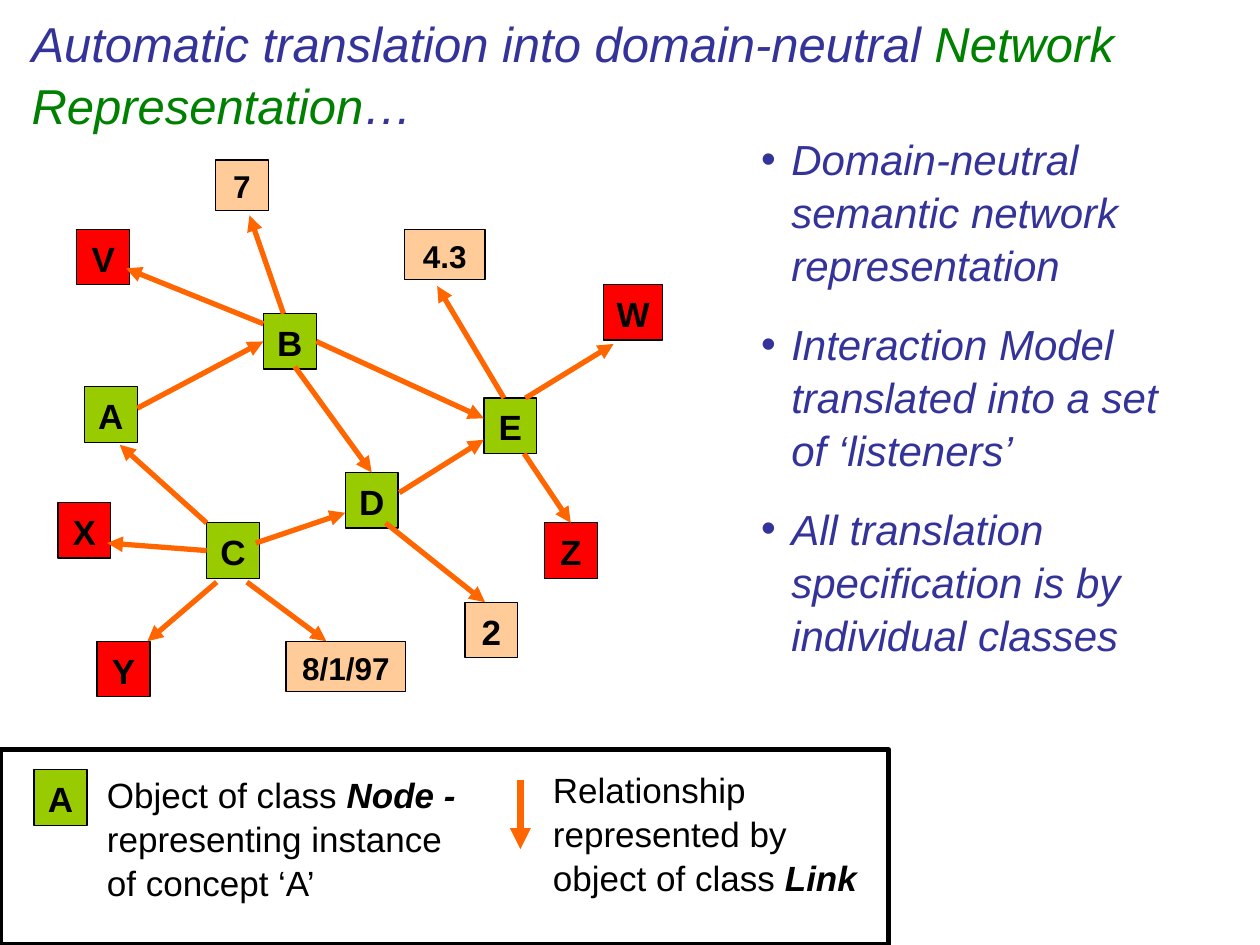
from lxml import etree
from pptx import Presentation
from pptx import util as u
from pptx.dml.color import RGBColor
from pptx.enum import shapes, text
from pptx.oxml.ns import qn

PX = 9144
COLORS = {"ink": "000000", "heading": "333399", "accent": "008000", "node": "99CC00",
          "outside": "FF0000", "value": "FFCC99", "link": "FF6600"}


def write(paragraph, content, color, size, **styles):
    run = paragraph.add_run()
    run.text = content
    for key, value in {"name": "Arial", "size": u.Pt(size), **styles}.items():
        setattr(run.font, key, value)
    run.font.color.rgb = RGBColor.from_string(COLORS[color])
    paragraph.line_spacing = 1.05


def add_arrow(start, end, width):
    arrow = slide.shapes.add_connector(
        shapes.MSO_CONNECTOR.STRAIGHT, *[n * PX for n in start + end])
    arrow.line.width = u.Pt(width)
    arrow.line.color.rgb = RGBColor.from_string(COLORS["link"])
    etree.SubElement(arrow.line._get_or_add_ln(), qn("a:tailEnd"), type="triangle")
    etree.SubElement(arrow._element.spPr, qn("a:effectLst"))
    return arrow


prs = Presentation()
prs.slide_width, prs.slide_height = 1000 * PX, 750 * PX
slide = prs.slides.add_slide(prs.slide_layouts[1])

title, points = slide.placeholders
for holder, bounds, inset, anchor in [
    (title, (20, 0, 961, 115), 5, text.MSO_ANCHOR.MIDDLE),
    (points, (594, 99, 370, 412), 10, text.MSO_ANCHOR.TOP),
]:
    holder.left, holder.top, holder.width, holder.height = [n * PX for n in bounds]
    frame_format = {"margin_left": inset * PX, "margin_right": inset * PX,
                    "margin_top": 5 * PX, "margin_bottom": 5 * PX, "word_wrap": True,
                    "vertical_anchor": anchor, "auto_size": text.MSO_AUTO_SIZE.NONE}
    for key, value in frame_format.items():
        setattr(holder.text_frame, key, value)

heading = title.text_frame.paragraphs[0]
heading.alignment = text.PP_ALIGN.LEFT
for content, color in [("Automatic translation into domain-neutral ", "heading"),
                       ("Network Representation", "accent"), ("…", "heading")]:
    write(heading, content, color, 28, italic=True)

statements = ["Domain-neutral semantic network representation",
              "Interaction Model translated into a set of ‘listeners’",
              "All translation specification is by individual classes"]
for i, statement in enumerate(statements):
    point = points.text_frame.add_paragraph() if i else points.text_frame.paragraphs[0]
    point.space_before = u.Pt(15)
    indent = point._p.get_or_add_pPr()
    indent.set("marL", str(24 * PX))
    indent.set("indent", str(-24 * PX))
    write(point, statement, "heading", 24, italic=True)

boxes = [
    ("A", "node", 67, 307, 42, 44, 20),
    ("B", "node", 209, 249, 42, 44, 20),
    ("E", "node", 384, 316, 42, 44, 20),
    ("C", "node", 164, 415, 42, 44, 20),
    ("D", "node", 274, 375, 42, 44, 20),
    ("V", "outside", 61, 182, 42, 44, 20),
    ("Z", "outside", 432, 415, 42, 44, 20),
    ("X", "outside", 46, 399, 42, 44, 20),
    ("Y", "outside", 77, 509, 42, 44, 20),
    ("W", "outside", 479, 226, 47, 44, 20),
    ("7", "value", 171, 127, 42, 40, 18),
    ("4.3", "value", 321, 182, 64, 40, 18),
    ("2", "value", 369, 478, 42, 44, 20),
    ("8/1/97", "value", 227, 509, 95, 40, 18),
    ("A", "node", 27, 611, 42, 44, 20),
    ("", None, 0, 595, 705, 155, 20),
]
network = {}
for label, kind, left, top, width, height, size in boxes:
    box = slide.shapes.add_shape(shapes.MSO_SHAPE.RECTANGLE,
                                 left * PX, top * PX, width * PX, height * PX)
    box.shadow.inherit = False
    box.line.color.rgb = RGBColor.from_string(COLORS["ink"])
    box.line.width = u.Pt(0.75 if kind else 3)
    if not kind:
        box.fill.background()
        continue
    box.fill.solid()
    box.fill.fore_color.rgb = RGBColor.from_string(COLORS[kind])
    box.text_frame.word_wrap = False
    box.text_frame.paragraphs[0].alignment = text.PP_ALIGN.CENTER
    write(box.text_frame.paragraphs[0], label, "ink", size, bold=True)
    network.setdefault(label, box)

links = [
    ((164, 415), (95, 353), None, None),
    ((109, 324), (209, 274), None, ("B", 1)),
    ((317, 391), (384, 349), None, None),
    ((250, 274), (384, 332), ("B", 3), None),
    ((196, 462), (259, 509), None, None),
    ((234, 291), (292, 374), None, ("D", 0)),
    ((225, 249), (198, 171), None, None),
    ((400, 316), (347, 227), None, None),
    ((416, 360), (450, 416), None, ("Z", 0)),
    ((306, 415), (385, 478), None, None),
    ((209, 257), (100, 213), None, None),
    ((417, 316), (487, 273), None, None),
    ((164, 438), (85, 431), ("C", 1), None),
    ((172, 462), (117, 509), None, None),
    ((203, 431), (274, 407), None, None),
]
for start, end, source, target in links:
    link = add_arrow(start, end, 3)
    if source:
        link.begin_connect(network[source[0]], source[1])
    if target:
        link.end_connect(network[target[0]], target[1])

add_arrow((413, 619), (413, 674), 4)

legend = [
    ((75, 607, 299, 110), [("Object of class ", False), ("Node - ", True),
                           ("representing instance of concept ‘A’", False)]),
    ((429, 603, 268, 110), [("Relationship represented by object of class", False),
                            (" Link", True)]),
]
for bounds, parts in legend:
    meaning = slide.shapes.add_textbox(*[n * PX for n in bounds]).text_frame
    meaning.word_wrap = True
    for content, strong in parts:
        write(meaning.paragraphs[0], content, "ink", 20, bold=strong, italic=strong)

prs.save("out.pptx")
